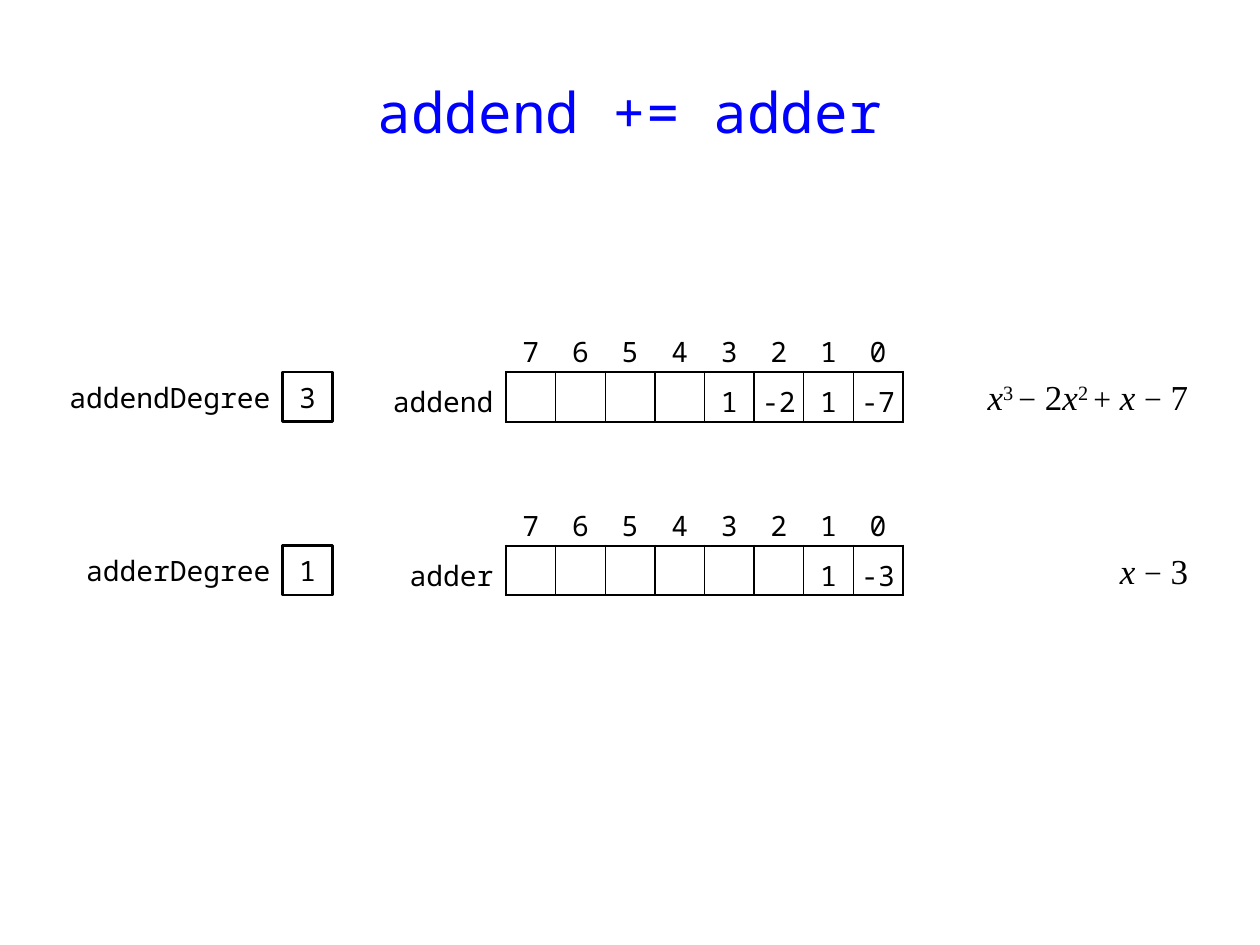
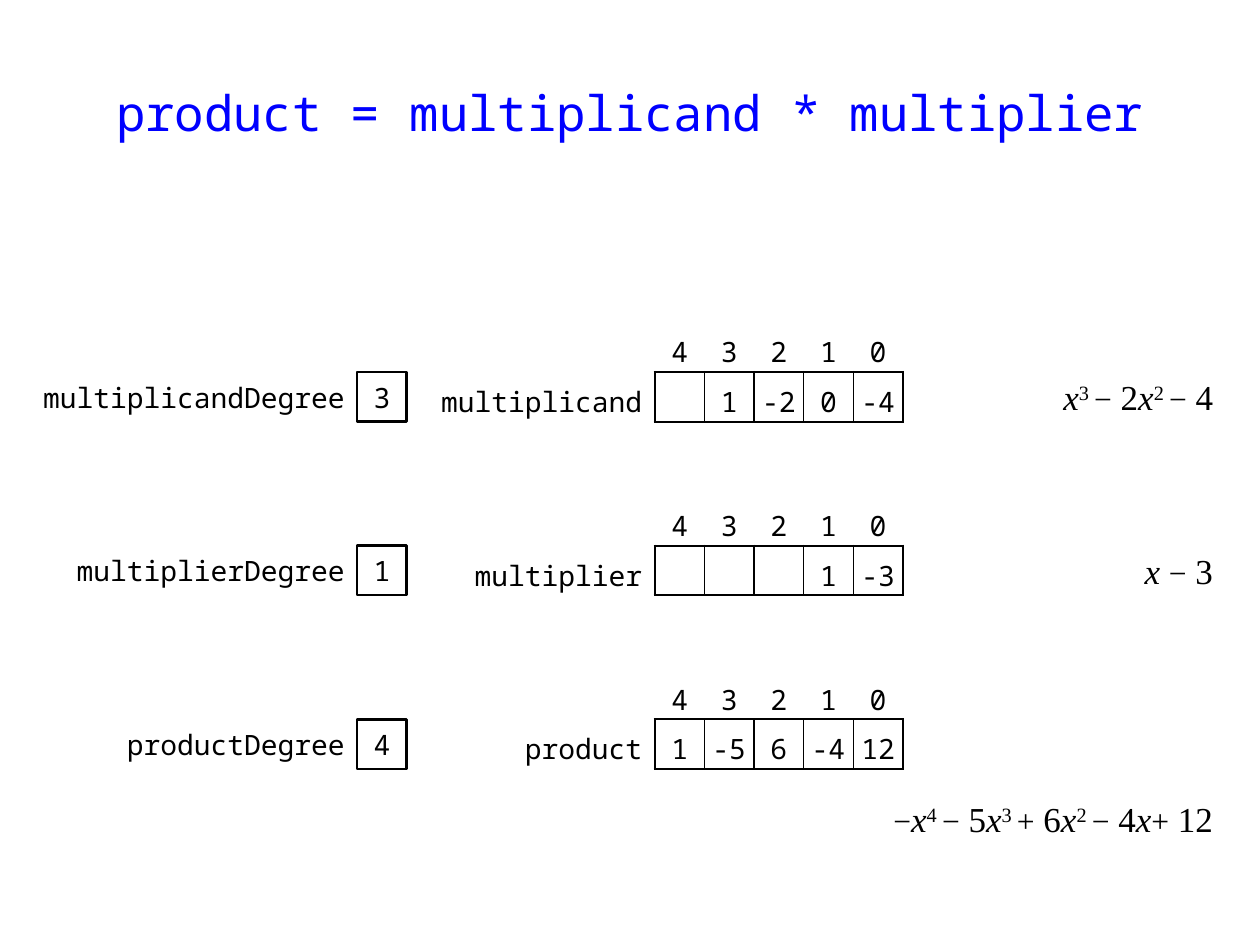
"""Build two slides that show polynomials stored as coefficient arrays."""
from itertools import groupby
from math import ceil

from lxml.etree import SubElement
from pptx import Presentation
from pptx.dml.color import RGBColor
from pptx.enum.shapes import MSO_SHAPE as Shape
from pptx.enum.text import MSO_ANCHOR as Anchor, MSO_AUTO_SIZE as AutoSize, PP_ALIGN as Align
from pptx.oxml.ns import qn
from pptx.util import Pt

BLUE = RGBColor(0x00, 0x00, 0xFF)
BLACK = RGBColor(0x00, 0x00, 0x00)
WHITE = RGBColor(0xFF, 0xFF, 0xFF)
MONO, SERIF = "Noto Sans Mono", "Times New Roman"
PLAIN_TABLE = "{2D5ABB26-0587-4C30-8999-92F81FD0307C}"
CELL = 28.35
FIRST_TOP = 184.25
ROW_PITCH = 3.5 * CELL
ARRAY_RIGHT = 18.2 * CELL
CHAR_WIDTH = 9.6
SIDE_INSET = 7.2
LABEL_INSET = 2.88
THICK, THIN = 1.5, 1
POWERS = {"²": "2", "³": "3", "⁴": "4"}


def name_width(name, padding):
    """Return the width of a name, rounded up to half cells."""
    return ceil((len(name) * CHAR_WIDTH + padding) / CELL * 2) / 2 * CELL


def polynomial_parts(formula):
    """Return the formula as (kind, text) runs."""
    marked, kind = [], "number"
    for char in formula:
        if char == "x":
            kind = "variable"
        elif char in POWERS:
            kind = "power"
        elif char in "+−":
            kind = "operator"
        elif char != " " or kind == "operator":
            kind = "number"
        marked.append((kind, POWERS.get(char, char)))
    return [(key, "".join(char for _, char in group))
            for key, group in groupby(marked, key=lambda mark: mark[0])]


class PolynomialDeck:
    """Hold the style and the current slide."""

    def __init__(self):
        self.deck = Presentation()
        self.deck.slide_width, self.deck.slide_height = Pt(720), Pt(540)
        self.slide = None

    def style(self, span, size=16, font=MONO, color=BLACK):
        span.font.name, span.font.size = font, Pt(size)
        span.font.color.rgb = color

    def set_text(self, frame, text, align, size=16, color=BLACK):
        frame.text = text
        para = frame.paragraphs[0]
        para.alignment = align
        for span in para.runs:
            self.style(span, size, MONO, color)
        return para

    def page(self, title, size):
        self.slide = self.deck.slides.add_slide(self.deck.slide_layouts[5])
        box = self.slide.shapes.title
        box.left, box.top = Pt(34), Pt(28.35)
        box.width, box.height = Pt(652), Pt(2.5 * CELL)
        box.text_frame.auto_size = AutoSize.NONE
        box.text_frame.vertical_anchor = Anchor.MIDDLE
        self.set_text(box.text_frame, title, Align.CENTER, size, BLUE)

    def text_box(self, right, top, width):
        box = self.slide.shapes.add_textbox(Pt(right - width), Pt(top), Pt(width), Pt(CELL))
        frame = box.text_frame
        frame.word_wrap = True
        frame.vertical_anchor = Anchor.MIDDLE
        frame.margin_left = frame.margin_right = Pt(SIDE_INSET)
        frame.margin_top = frame.margin_bottom = 0
        return frame

    def degree(self, name, value, left, top):
        frame = self.text_box(left, top, name_width(name, 2 * SIDE_INSET))
        self.set_text(frame, name, Align.RIGHT)
        box = self.slide.shapes.add_shape(Shape.RECTANGLE, Pt(left), Pt(top), Pt(CELL), Pt(CELL))
        box.shadow.inherit = False
        box.fill.solid()
        box.fill.fore_color.rgb = WHITE
        box.line.color.rgb = BLACK
        box.line.width = Pt(THICK)
        box.text_frame.vertical_anchor = Anchor.MIDDLE
        self.set_text(box.text_frame, str(value), Align.CENTER)

    def polynomial(self, formula, right, top, cells):
        para = self.text_box(right, top, cells * CELL).paragraphs[0]
        para.alignment = Align.RIGHT
        for kind, text in polynomial_parts(formula):
            span = para.add_run()
            span.text = text
            self.style(span, 18 if kind == "operator" else 20, SERIF)
            span.font.italic = kind == "variable"
            if kind == "power":
                span.font._element.set("baseline", "30000")

    def borders(self, cell, **widths):
        properties = cell._tc.get_or_add_tcPr()
        for side, width in widths.items():
            line = SubElement(properties, qn(f"a:ln{side}"), w=str(Pt(width)))
            fill = SubElement(line, qn("a:solidFill"))
            SubElement(fill, qn("a:srgbClr"), val=str(BLACK))

    def array(self, name, coefficients, top):
        count = len(coefficients)
        label_width = name_width(name, SIDE_INSET + LABEL_INSET)
        width = label_width + count * CELL
        table = self.slide.shapes.add_table(
            2, count + 1, Pt(ARRAY_RIGHT - width), Pt(top), Pt(width), Pt(2 * CELL)).table
        table.first_row = table.horz_banding = False
        table._tbl.tblPr.find(qn("a:tableStyleId")).text = PLAIN_TABLE
        for index, column in enumerate(table.columns):
            column.width = Pt(CELL if index else label_width)
        rows = [["", *range(count - 1, -1, -1)], [name, *coefficients]]
        for row_index, row in enumerate(rows):
            for index, value in enumerate(row):
                cell = table.cell(row_index, index)
                is_label = row_index == 1 and index == 0
                cell.margin_left = Pt(LABEL_INSET if is_label else 0)
                cell.margin_right = Pt(SIDE_INSET if is_label else 0)
                cell.margin_top = cell.margin_bottom = 0
                cell.vertical_anchor = Anchor.MIDDLE
                para = self.set_text(cell.text_frame, str(value),
                                     Align.RIGHT if is_label else Align.CENTER)
                para.line_spacing = 1.25
                if is_label:
                    self.borders(cell, R=THICK)
                elif row_index == 1:
                    self.borders(cell, L=THICK if index == 1 else THIN,
                                 R=THICK if index == count else THIN, T=THICK, B=THICK)
                cell.fill.background()


PAGES = [
    ("addend += adder", 32, 5.7, 24.2, [
        ("addend", 3, ["", "", "", "", 1, -2, 1, -7], "x³ − 2x² + x − 7", 5.5, 0),
        ("adder", 1, ["", "", "", "", "", "", 1, -3], "x − 3", 2.5, 0),
    ]),
    ("product = multiplicand * multiplier", 28, 7.2, 24.7, [
        ("multiplicand", 3, ["", 1, -2, 0, -4], "x³ − 2x² − 4", 4, 0),
        ("multiplier", 1, ["", "", "", 1, -3], "x − 3", 2.5, 0),
        ("product", 4, [1, -5, 6, -4, 12], "−x⁴ − 5x³ + 6x² − 4x+ 12", 8, 1.5),
    ]),
]


def main():
    builder = PolynomialDeck()
    for title, size, degree_left, formula_right, operands in PAGES:
        builder.page(title, size)
        for index, (name, degree, coefficients, formula, cells, drop) in enumerate(operands):
            top = FIRST_TOP + index * ROW_PITCH
            builder.array(name, coefficients, top)
            builder.degree(f"{name}Degree", degree, degree_left * CELL, top + CELL)
            builder.polynomial(formula, formula_right * CELL, top + (1 + drop) * CELL, cells)
    builder.deck.save("out.pptx")


if __name__ == "__main__":
    main()
